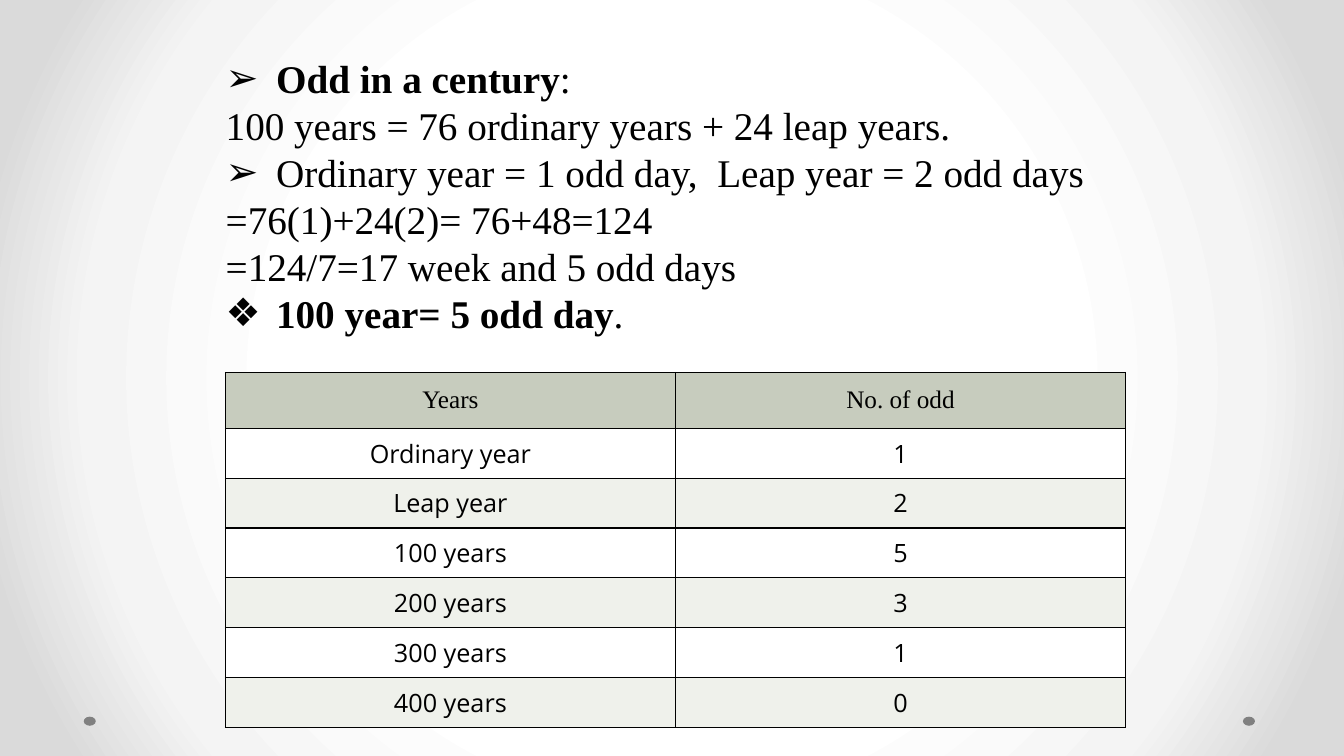
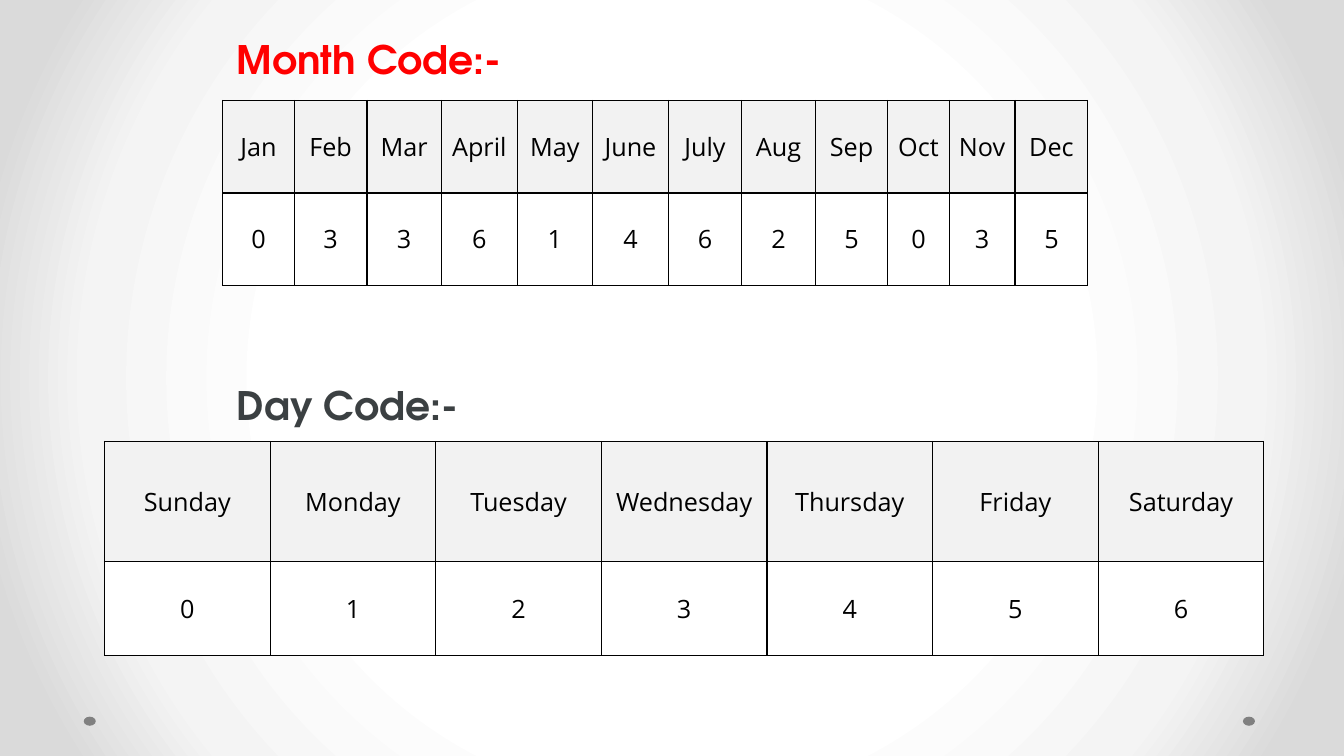
"""Build two slides on odd days, month codes and day codes."""
from dataclasses import dataclass

from lxml import etree
from pptx import Presentation
from pptx.dml.color import RGBColor
from pptx.enum.shapes import MSO_SHAPE
from pptx.enum.text import MSO_ANCHOR, MSO_AUTO_SIZE, PP_ALIGN
from pptx.oxml.ns import qn
from pptx.util import Pt

OVAL = MSO_SHAPE.OVAL
TOP, MIDDLE = MSO_ANCHOR.TOP, MSO_ANCHOR.MIDDLE
LEFT, CENTER = PP_ALIGN.LEFT, PP_ALIGN.CENTER
NO_AUTOFIT = MSO_AUTO_SIZE.NONE


@dataclass(frozen=True)
class Theme:
    """Colours, fonts and type sizes."""
    ink: str = "000000"
    month: str = "FF0000"
    day: str = "3B4042"
    dot: str = "808080"
    white: str = "FFFFFF"
    odd_head: str = "C7CCBE"
    odd_band: str = "EFF1EB"
    code_head: str = "F2F2F2"
    backdrop: tuple = ((50, "FFFFFF"), (76, "F4F4F4"), (92, "DADADA"))
    serif: str = "Times New Roman"
    sans: str = "Open Sans"
    display: str = "TeX Gyre Adventor"
    large: float = 28
    small: float = 18
    border: float = 1


T = Theme()
SLIDE_W, SLIDE_H = 960, 540
DOT_LEFTS, DOT_TOP, DOT_W, DOT_H = (59.8, 887.8), 511.9, 8.6, 6.5

CENTURY = [
    ("➢", [("Odd in a century", True), (":", False)]),
    (None, [("100 years = 76 ordinary years + 24 leap years.", False)]),
    ("➢", [("Ordinary year = 1 odd day,  Leap year = 2 odd days", False)]),
    (None, [("=76(1)+24(2)= 76+48=124", False)]),
    (None, [("=124/7=17 week and 5 odd days", False)]),
    ("❖", [("100 year= 5 odd day", True), (".", False)]),
]
ODD_DAYS = [
    ("Years", "No. of odd"),
    ("Ordinary year", "1"),
    ("Leap year", "2"),
    ("100 years", "5"),
    ("200 years", "3"),
    ("300 years", "1"),
    ("400 years", "0"),
]
MONTHS = [
    ("Jan", "Feb", "Mar", "April", "May", "June",
     "July", "Aug", "Sep", "Oct", "Nov", "Dec"),
    tuple("033614625035"),
]
MONTH_COLS = [51, 52, 53, 54.5, 53.5, 54.5, 52, 53, 51.5, 44, 47, 52]
DAYS = [
    ("Sunday", "Monday", "Tuesday", "Wednesday", "Thursday", "Friday", "Saturday"),
    tuple("0123456"),
]


def rgb(value):
    """Turn a hex string into a colour."""
    return RGBColor.from_string(value)


def write(p, text, font=T.sans, size=T.small, color=T.ink, bold=False, align=LEFT):
    """Add a formatted run to a paragraph."""
    p.alignment = align
    r = p.add_run()
    r.text = text
    r.font.name, r.font.size, r.font.bold = font, Pt(size), bold
    r.font.color.rgb = rgb(color)


def set_bullet(p, char):
    """Give a paragraph a hanging bullet, or none."""
    pPr = p._p.get_or_add_pPr()
    hang = Pt(36) if char else 0
    pPr.set("marL", str(hang))
    pPr.set("indent", str(-hang))
    if char:
        etree.SubElement(pPr, qn("a:buChar"), char=char)
    else:
        etree.SubElement(pPr, qn("a:buNone"))


def place(sp, left, top, width, height):
    """Move a placeholder and return its top-anchored text frame."""
    sp.left, sp.top, sp.width, sp.height = map(Pt, (left, top, width, height))
    tf = sp.text_frame
    tf.word_wrap, tf.auto_size, tf.vertical_anchor = True, NO_AUTOFIT, TOP
    return tf


def add_heading(sp, text, top, color):
    """Write a code heading into a placeholder."""
    p = place(sp, 162, top, 390, 50).paragraphs[0]
    p.space_before = Pt(0)
    set_bullet(p, None)
    write(p, text, font=T.display, size=T.large, color=color, bold=True)


def add_borders(cell):
    """Draw a thin line on each side of a cell."""
    tcPr = cell._tc.get_or_add_tcPr()
    for side in ("lnL", "lnR", "lnT", "lnB"):
        ln = etree.SubElement(tcPr, qn("a:" + side), w=str(Pt(T.border)))
        fill = etree.SubElement(ln, qn("a:solidFill"))
        etree.SubElement(fill, qn("a:srgbClr"), val=T.ink)


def add_grid(slide, rows, left, top, cols, heights, fills, insets, head_font=T.sans):
    """Add a bordered table with one fill and one (x, y) inset per row."""
    table = slide.shapes.add_table(len(rows), len(cols), Pt(left), Pt(top),
                                   Pt(sum(cols)), Pt(sum(heights))).table
    table.first_row = table.horz_banding = False
    for col, width in zip(table.columns, cols):
        col.width = Pt(width)
    for i, values in enumerate(rows):
        table.rows[i].height = Pt(heights[i])
        x, y = map(Pt, insets[i])
        for j, value in enumerate(values):
            cell = table.cell(i, j)
            add_borders(cell)
            cell.fill.solid()
            cell.fill.fore_color.rgb = rgb(fills[i])
            cell.vertical_anchor = MIDDLE
            cell.margin_left = cell.margin_right = x
            cell.margin_top = cell.margin_bottom = y
            write(cell.text_frame.paragraphs[0], value, align=CENTER,
                  font=T.sans if i else head_font)


def add_code_grid(slide, rows, left, top, cols, heights):
    """Add a two-row table of names over codes."""
    add_grid(slide, rows, left, top, cols, heights,
             [T.code_head, T.white], [(5, 0)] * 2)


def style_master(master, slide):
    """Put the radial backdrop and the two dots on the master."""
    master.background.fill.solid()
    bgPr = master._element.find(".//" + qn("p:bgPr"))
    grad = etree.Element(qn("a:gradFill"), rotWithShape="1")
    stops = etree.SubElement(grad, qn("a:gsLst"))
    for pos, color in T.backdrop:
        gs = etree.SubElement(stops, qn("a:gs"), pos=str(pos * 1000))
        etree.SubElement(gs, qn("a:srgbClr"), val=color)
    circle = etree.SubElement(grad, qn("a:path"), path="circle")
    etree.SubElement(circle, qn("a:fillToRect"),
                     {side: "50000" for side in "ltrb"})
    bgPr.replace(bgPr[0], grad)
    for left in DOT_LEFTS:
        sp = slide.shapes.add_shape(OVAL, Pt(left), Pt(DOT_TOP), Pt(DOT_W), Pt(DOT_H))
        sp.shadow.inherit = False
        sp.fill.solid()
        sp.fill.fore_color.rgb = rgb(T.dot)
        sp.line.fill.background()
        master.shapes._spTree.append(sp._element)


def build_century(slide):
    """Fill the slide on odd days in a century."""
    title = slide.shapes.title._element
    title.getparent().remove(title)
    tf = place(slide.placeholders[1], 154, 35.3, 806, 220)
    for i, (bullet, runs) in enumerate(CENTURY):
        p = tf.add_paragraph() if i else tf.paragraphs[0]
        p.line_spacing, p.space_before = Pt(33.6), Pt(0)
        set_bullet(p, bullet)
        for text, bold in runs:
            write(p, text, font=T.serif, size=T.large, bold=bold)
    body = len(ODD_DAYS) - 1
    bands = [T.odd_band if i % 2 else T.white for i in range(body)]
    add_grid(slide, ODD_DAYS, 161, 266, [321.5] * 2, [40] + [35.6] * body,
             [T.odd_head] + bands, [(8.6, 8.6)] + [(5.5, 5.5)] * body,
             head_font=T.serif)


def build_codes(slide):
    """Fill the slide on month and day codes."""
    add_heading(slide.shapes.title, "Month Code:-", 21.6, T.month)
    add_code_grid(slide, MONTHS, 159.2, 71.8, MONTH_COLS, [66, 66])
    add_heading(slide.placeholders[1], "Day Code:-", 268.4, T.day)
    add_code_grid(slide, DAYS, 74.7, 315.4, [118.3] * 7, [85.6, 67.2])


def main():
    """Build and save the presentation."""
    prs = Presentation()
    prs.slide_width, prs.slide_height = Pt(SLIDE_W), Pt(SLIDE_H)
    layout = prs.slide_layouts[1]
    century, codes = (prs.slides.add_slide(layout) for _ in range(2))
    style_master(prs.slide_master, century)
    build_century(century)
    build_codes(codes)
    prs.save("out.pptx")


if __name__ == "__main__":
    main()
